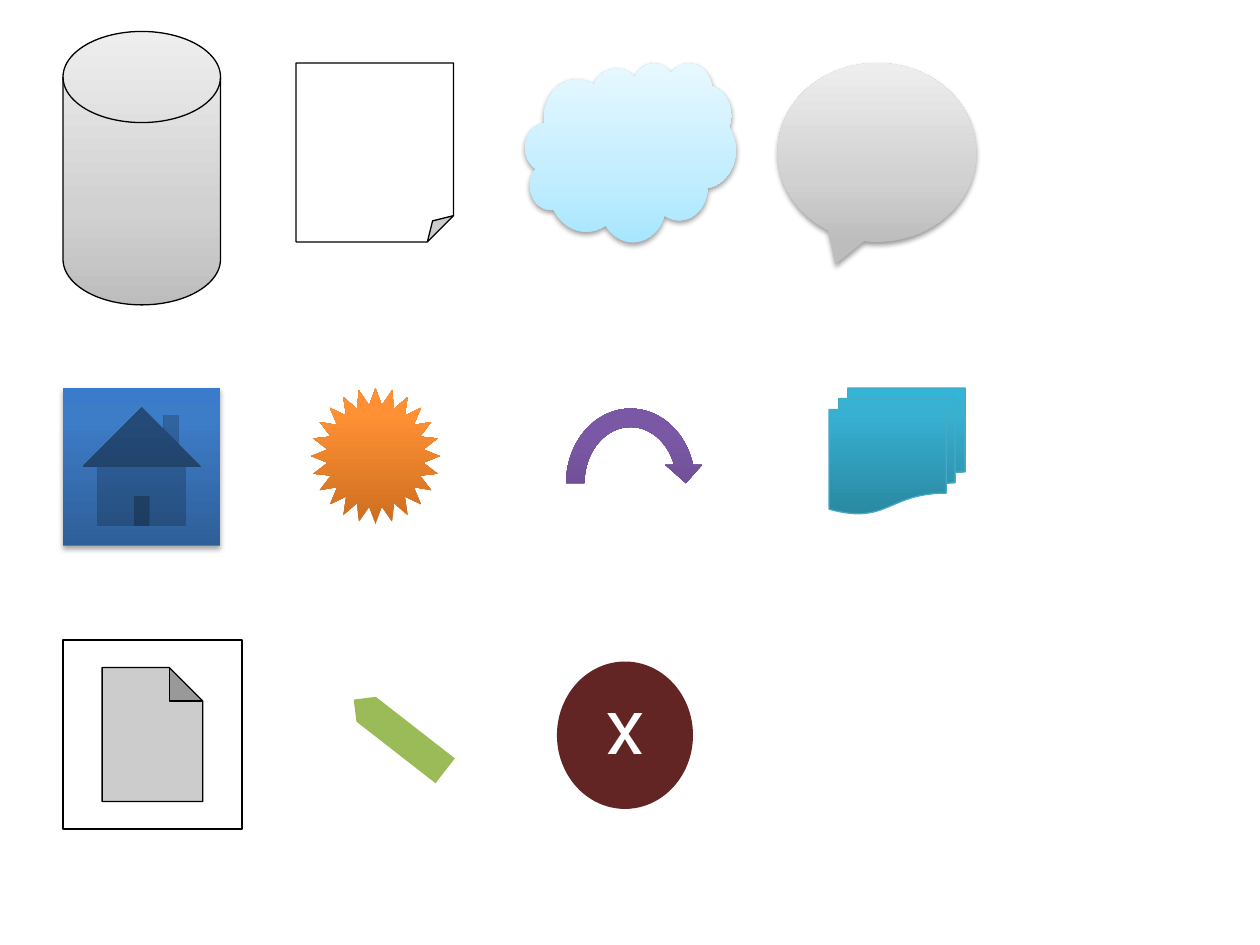
from copy import deepcopy
from dataclasses import dataclass
from typing import Optional

from lxml import etree
from pptx import Presentation
from pptx import util as u
from pptx.dml.color import RGBColor
from pptx.enum import shapes, text
from pptx.oxml import ns

Kind = shapes.MSO_SHAPE
Stops = tuple[tuple[float, RGBColor], ...]

BLACK = RGBColor(0x00, 0x00, 0x00)
WHITE = RGBColor(0xFF, 0xFF, 0xFF)
TEAL = RGBColor(0x46, 0xAA, 0xC5)
GREEN = RGBColor(0x9B, 0xBB, 0x59)
MAROON = RGBColor(0x63, 0x25, 0x23)


def gradient_stops(middle: float, *colors: str) -> Stops:
    return tuple(zip((0, middle, 1), map(RGBColor.from_string, colors)))


GRAY_FADE = gradient_stops(0.35, "BDBDBD", "D1D1D1", "EEEEEE")
SKY_FADE = gradient_stops(0.35, "A7E6FF", "C1EDFF", "E7F8FF")
BLUE_FADE = gradient_stops(0.8, "2F5F99", "3D7CC7", "3A7CCB")
ORANGE_FADE = gradient_stops(0.8, "CC6E20", "FF9034", "FF9136")
PURPLE_FADE = gradient_stops(0.8, "5F4480", "7B58A6", "7C57A8")
TEAL_FADE = gradient_stops(0.8, "2A88A2", "37B1D2", "34B4D6")


@dataclass(frozen=True)
class Shadow:
    opacity: int
    distance: float
    blur: float = 3.1


SOFT = Shadow(38, 1.6)
RAISED = Shadow(35, 1.8)


@dataclass(frozen=True)
class Symbol:
    kind: Kind
    left: float
    top: float
    width: float
    height: float
    fill: RGBColor | Stops
    outline: Optional[RGBColor] = None
    shadow: Optional[Shadow] = None
    rotation: float = 0
    label: str = ""


SYMBOLS = (
    Symbol(Kind.FLOWCHART_MAGNETIC_DISK, 0.5, 0.25, 1.25, 2.17, GRAY_FADE, BLACK),
    Symbol(Kind.FOLDED_CORNER, 2.35, 0.5, 1.25, 1.42, WHITE, BLACK),
    Symbol(Kind.CLOUD, 4.17, 0.5, 1.67, 1.42, SKY_FADE, shadow=SOFT),
    Symbol(Kind.OVAL_CALLOUT, 6.17, 0.5, 1.58, 1.42, GRAY_FADE, shadow=SOFT),
    Symbol(Kind.ACTION_BUTTON_HOME, 0.5, 3.08, 1.25, 1.25, BLUE_FADE, shadow=RAISED),
    Symbol(Kind.STAR_24_POINT, 2.47, 3.08, 1.02, 1.08, ORANGE_FADE),
    Symbol(Kind.CIRCULAR_ARROW, 4.42, 3.17, 1.17, 1.33, PURPLE_FADE),
    Symbol(Kind.FLOWCHART_MULTIDOCUMENT, 6.58, 3.08, 1.08, 1, TEAL_FADE, TEAL),
    Symbol(Kind.ACTION_BUTTON_DOCUMENT, 0.5, 5.08, 1.42, 1.5, WHITE, BLACK),
    Symbol(Kind.PENTAGON, 2.71, 5.71, 0.92, 0.25, GREEN, rotation=217.9),
    Symbol(Kind.OVAL, 4.42, 5.25, 1.08, 1.17, MAROON, rotation=180, label="x"),
)


def apply_gradient(shape, stops: Stops) -> None:
    shape.fill.gradient()
    shape.fill.gradient_angle = 90
    stop_list = shape._element.spPr.find(".//" + ns.qn("a:gsLst"))
    stop_list.append(deepcopy(stop_list[0]))
    for stop, (position, color) in zip(shape.fill.gradient_stops, stops):
        stop.position = position
        stop.color.rgb = color


def apply_shadow(shape, shadow: Shadow) -> None:
    effects = shape._element.spPr.find(ns.qn("a:effectLst"))
    outer = etree.SubElement(
        effects, ns.qn("a:outerShdw"),
        blurRad=str(u.Pt(shadow.blur)), dist=str(u.Pt(shadow.distance)),
        dir="5400000", rotWithShape="0",
    )
    color = etree.SubElement(outer, ns.qn("a:srgbClr"), val=str(BLACK))
    etree.SubElement(color, ns.qn("a:alpha"), val=str(shadow.opacity * 1000))


def write_label(shape, label: str) -> None:
    frame = shape.text_frame
    frame.word_wrap = True
    frame.vertical_anchor = text.MSO_ANCHOR.BOTTOM
    frame.margin_left = frame.margin_right = u.Inches(0.1)
    frame.margin_top, frame.margin_bottom = u.Inches(0), u.Inches(0.12)
    paragraph = frame.paragraphs[0]
    paragraph.text = label
    paragraph.alignment = text.PP_ALIGN.CENTER
    paragraph.font.name = "Roboto"
    paragraph.font.size = u.Pt(44.4)
    paragraph.font.color.rgb = WHITE


def draw_symbol(slide, symbol: Symbol) -> None:
    box = map(u.Inches, (symbol.left, symbol.top, symbol.width, symbol.height))
    shape = slide.shapes.add_shape(symbol.kind, *box)
    shape.rotation = symbol.rotation
    if isinstance(symbol.fill, RGBColor):
        shape.fill.solid()
        shape.fill.fore_color.rgb = symbol.fill
    else:
        apply_gradient(shape, symbol.fill)
    if symbol.outline is None:
        shape.line.fill.background()
    else:
        shape.line.color.rgb = symbol.outline
        shape.line.width = u.Pt(0.75)
    shape.shadow.inherit = False
    if symbol.shadow:
        apply_shadow(shape, symbol.shadow)
    if symbol.label:
        write_label(shape, symbol.label)


deck = Presentation()
deck.slide_width, deck.slide_height = u.Inches(10), u.Inches(7.5)
symbol_slide = deck.slides.add_slide(deck.slide_layouts[6])
for entry in SYMBOLS:
    draw_symbol(symbol_slide, entry)
deck.save("out.pptx")
